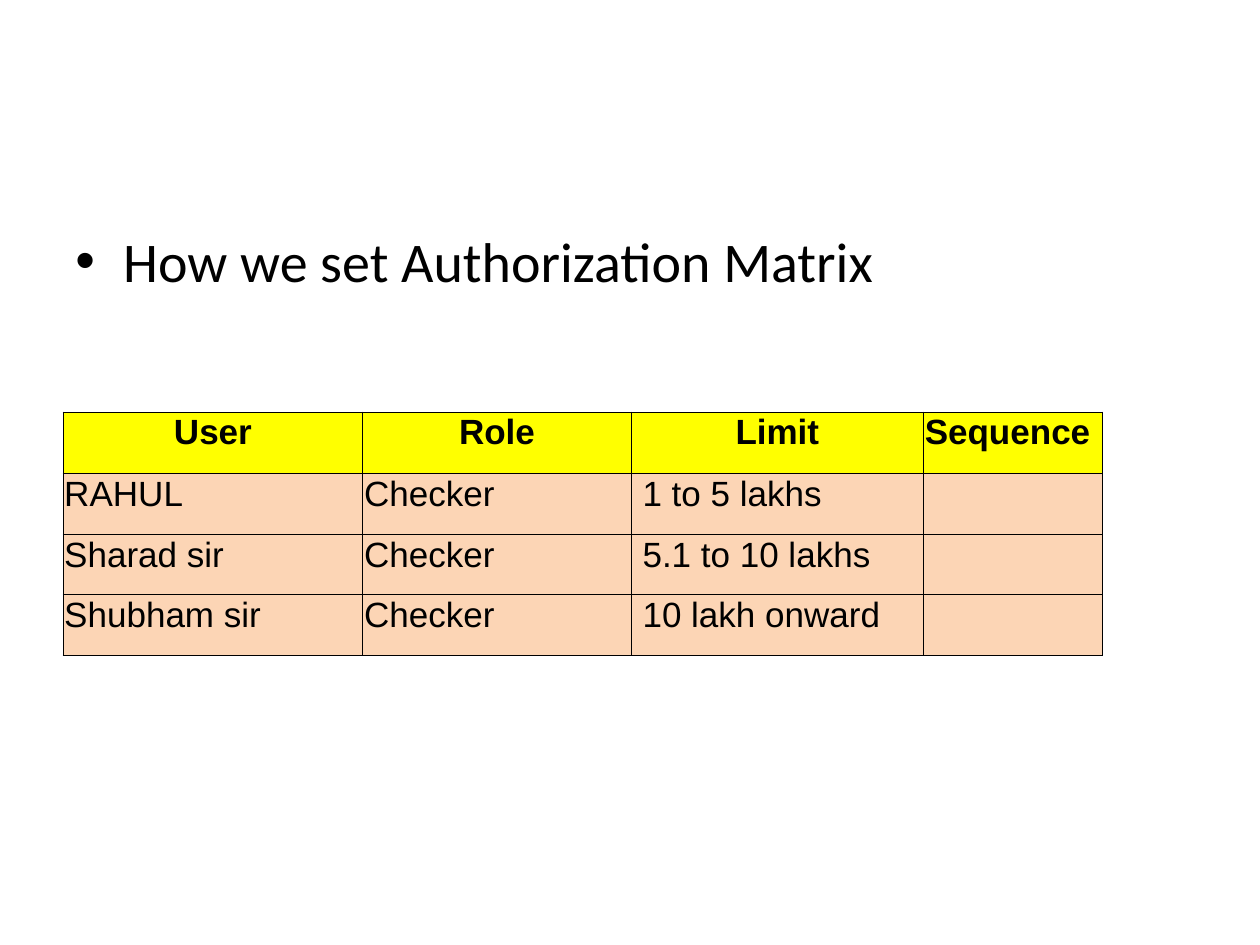
from lxml import etree
from pptx import Presentation
from pptx.dml.color import RGBColor
from pptx.enum.text import PP_ALIGN
from pptx.oxml.ns import qn
from pptx.util import Inches, Pt

CENTER, LEFT = PP_ALIGN.CENTER, PP_ALIGN.LEFT
BLACK = RGBColor(0x00, 0x00, 0x00)
YELLOW = RGBColor(0xFF, 0xFF, 0x00)
PEACH = RGBColor(0xFC, 0xD5, 0xB5)

WIDTH, HEIGHT = Inches(10), Inches(7.5)
MARGIN = 0.05 * WIDTH
COLUMN_WIDTHS = (2.38, 2.13, 2.32, 1.42)
ROW_HEIGHTS = (0.49, 0.48, 0.48, 0.48)
LIMIT_COLUMN = 2
ROWS = (
    ("User", "Role", "Limit", "Sequence"),
    ("RAHUL", "Checker", "1 to 5 lakhs", ""),
    ("Sharad sir", "Checker", "5.1 to 10 lakhs", ""),
    ("Shubham sir", "Checker", "10 lakh onward", ""),
)


def set_font(para, name, size, bold=False):
    para.font.name = name
    para.font.size = Pt(size)
    para.font.bold = bold
    para.font.color.rgb = BLACK


def add_bullet_text(page, text, top, height):
    box = page.shapes.add_textbox(int(MARGIN), int(top),
                                  int(WIDTH - 2 * MARGIN), int(height))
    box.text_frame.word_wrap = True
    para = box.text_frame.paragraphs[0]
    para.text = text
    para.space_before = Pt(6.4)
    set_font(para, "Calibri", 32)
    # Hanging bullet
    properties = para._p.get_or_add_pPr()
    properties.set("marL", str(Inches(0.38)))
    properties.set("indent", str(-Inches(0.38)))
    etree.SubElement(properties, qn("a:buFont"), typeface="Arial")
    etree.SubElement(properties, qn("a:buChar"), char="•")


def add_borders(cell):
    properties = cell._tc.get_or_add_tcPr()
    for side in ("a:lnL", "a:lnR", "a:lnT", "a:lnB"):
        line = etree.SubElement(properties, qn(side), w=str(Pt(0.5)))
        fill = etree.SubElement(line, qn("a:solidFill"))
        etree.SubElement(fill, qn("a:srgbClr"), val=str(BLACK))


def fill_cell(cell, text, header, centered, indent):
    add_borders(cell)
    cell.fill.solid()
    cell.fill.fore_color.rgb = YELLOW if header else PEACH
    cell.margin_left = Inches(indent)
    cell.margin_right = cell.margin_top = Inches(0.01)
    cell.margin_bottom = 0
    para = cell.text_frame.paragraphs[0]
    para.text = text
    para.alignment = CENTER if centered else LEFT
    set_font(para, "Arial", 20, header)


def add_matrix(page, top):
    frame = page.shapes.add_table(
        len(ROWS), len(COLUMN_WIDTHS), int(MARGIN), Inches(top),
        Inches(sum(COLUMN_WIDTHS)), Inches(sum(ROW_HEIGHTS)))
    table = frame.table
    for column, width in zip(table.columns, COLUMN_WIDTHS):
        column.width = Inches(width)
    for row, height in zip(table.rows, ROW_HEIGHTS):
        row.height = Inches(height)
    last = len(COLUMN_WIDTHS) - 1
    for r, texts in enumerate(ROWS):
        for c, text in enumerate(texts):
            header = r == 0
            indent = 0.09 if c == LIMIT_COLUMN and not header else 0.01
            fill_cell(table.cell(r, c), text, header,
                      header and c < last, indent)


def main():
    deck = Presentation()
    deck.slide_width, deck.slide_height = WIDTH, HEIGHT
    page = deck.slides.add_slide(deck.slide_layouts[6])
    # Heading bullet
    add_bullet_text(page, "How we set Authorization Matrix",
                    Inches(1.75), 0.66 * HEIGHT)
    # Authorization table
    add_matrix(page, 3.27)
    deck.save("out.pptx")


if __name__ == "__main__":
    main()
